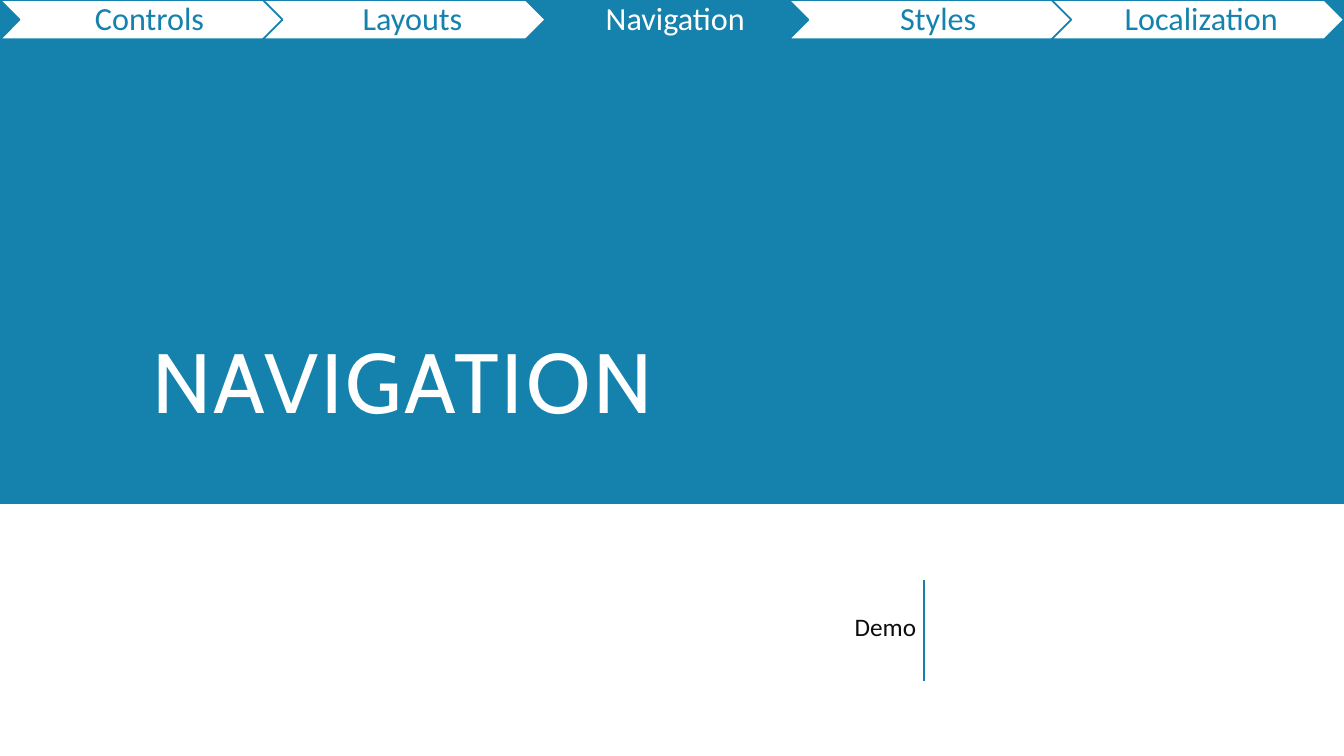
from lxml.etree import SubElement
from pptx import Presentation
from pptx.dml.color import RGBColor
from pptx.enum.shapes import MSO_CONNECTOR, MSO_SHAPE
from pptx.enum.text import MSO_ANCHOR, PP_ALIGN
from pptx.oxml.ns import qn
from pptx.util import Pt

COLORS = {"blue": "1482AC", "white": "FFFFFF", "ink": "0D0D0D"}
SECTIONS = ["Controls", "Layouts", "Navigation", "Styles", "Localization"]
CURRENT = "Navigation"
PAGE_WIDTH, PAGE_HEIGHT = 960, 540
STEP_WIDTH, STEP_HEIGHT = 208.8, 28.1
STEP_PITCH = (PAGE_WIDTH - STEP_WIDTH) / (len(SECTIONS) - 1)


class SlideBuilder:
    """Draws styled elements on the current slide, measured in points."""

    def __init__(self, page):
        self.page = page

    def color(self, name):
        return RGBColor.from_string(COLORS[name])

    def shape(self, kind, bounds, fill, line=None, parent=None):
        shape = (parent or self.page).shapes.add_shape(kind, *map(Pt, bounds))
        shape.shadow.inherit = False
        shape.fill.solid()
        shape.fill.fore_color.rgb = self.color(fill)
        if line:
            shape.line.color.rgb = self.color(line)
            shape.line.width = Pt(1.25)
        else:
            shape.line.fill.background()

    def line(self, start, end, color, width):
        line = self.page.shapes.add_connector(
            MSO_CONNECTOR.STRAIGHT, *map(Pt, start + end))
        line.line.color.rgb = self.color(color)
        line.line.width = Pt(width)
        SubElement(line.element.spPr, qn("a:effectLst"))

    def text(self, words, bounds, font, size, color, anchor, margins=(7.2, 3.6, 7.2, 3.6),
             layout=None, tracking=0, parent=None):
        box = (parent or self.page).shapes.add_textbox(*map(Pt, bounds))
        frame = box.text_frame
        left, top, right, bottom = map(Pt, margins)
        frame_format = {"word_wrap": True, "vertical_anchor": anchor, "margin_left": left,
                        "margin_top": top, "margin_right": right, "margin_bottom": bottom}
        for name, value in frame_format.items():
            setattr(frame, name, value)
        para = frame.paragraphs[0]
        for name, value in (layout or {}).items():
            setattr(para, name, value)
        span = para.add_run()
        span.text = words
        for name, value in {"name": font, "size": Pt(size)}.items():
            setattr(span.font, name, value)
        span.font.color.rgb = self.color(color)
        if tracking:
            span._r.get_or_add_rPr().set("spc", str(tracking * 100))

    def navigation(self, sections, current):
        group = self.page.shapes.add_group_shape()
        for index, section in enumerate(sections):
            left = index * STEP_PITCH
            fill, ink = ("blue", "white") if section == current else ("white", "blue")
            self.shape(MSO_SHAPE.CHEVRON, (left, 0, STEP_WIDTH, STEP_HEIGHT),
                       fill, "blue", group)
            self.text(section, (left + STEP_HEIGHT / 2, 0, STEP_WIDTH - STEP_HEIGHT, STEP_HEIGHT),
                      "Calibri", 23, ink, MSO_ANCHOR.MIDDLE, (7.2, 2.2, 2.2, 2.2),
                      {"alignment": PP_ALIGN.CENTER, "line_spacing": 0.9}, parent=group)


def main():
    deck = Presentation()
    deck.slide_width, deck.slide_height = Pt(PAGE_WIDTH), Pt(PAGE_HEIGHT)
    builder = SlideBuilder(deck.slides.add_slide(deck.slide_layouts[6]))
    builder.shape(MSO_SHAPE.RECTANGLE, (0, 0, PAGE_WIDTH, 360), "blue")
    builder.line((660, 486.5), (660, 414.5), "blue", 1.5)
    builder.text("Demo", (603.4, 390.2, 326.9, 115.2), "Calibri", 18, "ink",
                 MSO_ANCHOR.MIDDLE, layout={"space_after": Pt(2)})
    builder.text("NAVIGATION", (101.5, 77, 757.4, 233.3), "Cabin", 60, "white",
                 MSO_ANCHOR.BOTTOM, layout={"line_spacing": 0.8}, tracking=2)
    builder.navigation(SECTIONS, CURRENT)
    deck.save("out.pptx")


if __name__ == "__main__":
    main()
